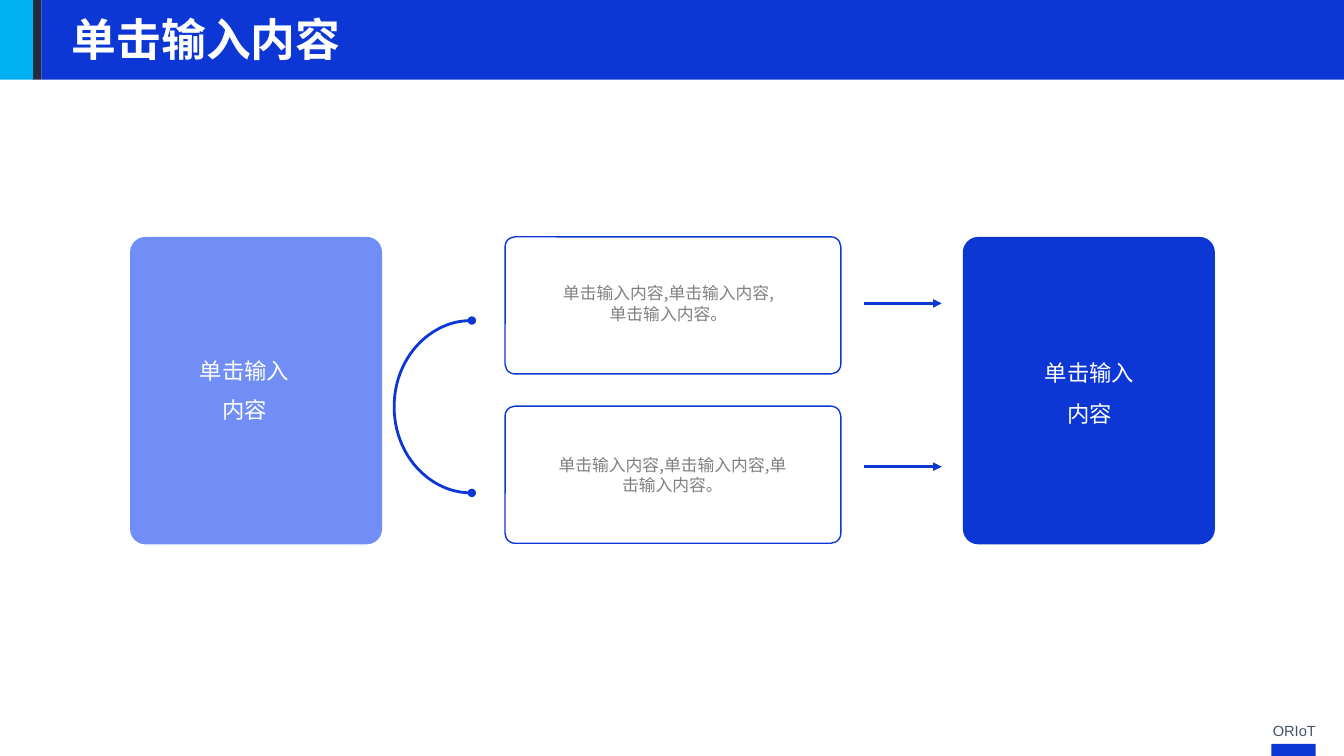
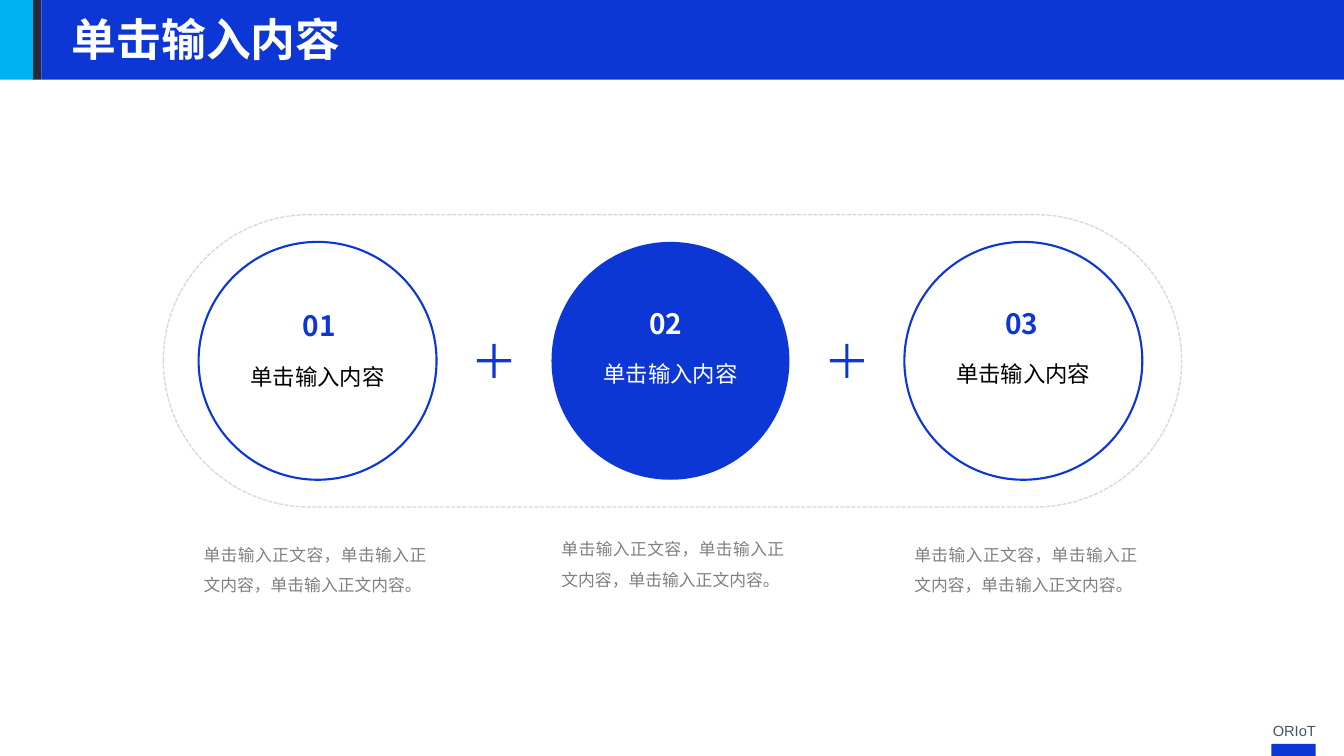
from lxml.etree import SubElement
from pptx import Presentation
from pptx.dml.color import RGBColor
from pptx.enum.dml import MSO_LINE
from pptx.enum.shapes import MSO_CONNECTOR, MSO_SHAPE
from pptx.enum.text import MSO_ANCHOR, MSO_AUTO_SIZE, PP_ALIGN
from pptx.oxml.ns import qn
from pptx.util import Inches, Pt

BLUE = RGBColor(0x0D, 0x37, 0xD4)
LIGHT_BLUE = RGBColor(0x70, 0x8E, 0xF5)
CYAN = RGBColor(0x00, 0xB0, 0xF0)
NAVY = RGBColor(0x26, 0x29, 0x3A)
SLATE = RGBColor(0x44, 0x54, 0x6A)
GREY = RGBColor(0x80, 0x80, 0x80)
PALE_GREY = RGBColor(0xD9, 0xD9, 0xD9)
WHITE = RGBColor(0xFF, 0xFF, 0xFF)
BLACK = RGBColor(0, 0, 0)

FONT = "Noto Sans CJK SC"
FOOTER_FONT = "Arial"
TITLE = "单击输入内容"
SLIDE_WIDTH, SLIDE_HEIGHT = 13.33, 7.5
BAND_HEIGHT = 0.79


def write_text(shape, text, size=12, color=GREY, font=FONT, bold=False,
               align=PP_ALIGN.LEFT, anchor=MSO_ANCHOR.TOP,
               insets=(0.1, 0.05, 0.1, 0.05), line_spacing=None,
               before=0, after=0):
    """Fill a shape with text, one paragraph per line; insets run left, top, right, bottom."""
    frame = shape.text_frame
    frame.word_wrap = True
    frame.auto_size = MSO_AUTO_SIZE.NONE
    frame.vertical_anchor = anchor
    (frame.margin_left, frame.margin_top,
     frame.margin_right, frame.margin_bottom) = map(Inches, insets)
    frame.text = text
    for para in frame.paragraphs:
        para.alignment = align
        para.line_spacing = line_spacing
        para.space_before, para.space_after = Pt(before), Pt(after)
        for span in para.runs:
            span.font.size, span.font.bold = Pt(size), bold
            span.font.name = font
            span.font.color.rgb = color
            SubElement(span.font._element, qn("a:ea")).set("typeface", font)


def add_line_ends(shape, **ends):
    """Put end marks on an outline, as head="oval" or tail="triangle"."""
    outline = shape.element.spPr.find(qn("a:ln"))
    for side, kind in ends.items():
        SubElement(outline, qn(f"a:{side}End")).set("type", kind)


class SlideBuilder:
    """Holds the deck, its shared style and the slide being drawn."""

    def __init__(self):
        self.deck = Presentation()
        self.deck.slide_width = Inches(SLIDE_WIDTH)
        self.deck.slide_height = Inches(SLIDE_HEIGHT)
        self.layout = self.deck.slide_layouts[5]
        for holder in list(self.layout.placeholders):
            if holder.placeholder_format.idx != 0:
                holder.element.getparent().remove(holder.element)
        self.page = None

    def start(self, title):
        first = self.page is None
        self.page = self.deck.slides.add_slide(self.layout)
        if first:
            self.dress_layout()
        holder = self.page.shapes.title
        holder.left, holder.top = Inches(0.61), Inches(0.07)
        holder.width, holder.height = Inches(7.09), Inches(0.64)
        write_text(holder, title, size=32, color=WHITE, bold=True)

    def dress_layout(self):
        """Draw the title band and footer, then move them to the shared layout."""
        parts = [
            self.shape(MSO_SHAPE.RECTANGLE, 0.32, 0, 0.09, BAND_HEIGHT, fill=NAVY),
            self.shape(MSO_SHAPE.RECTANGLE, 0, 0, 0.33, BAND_HEIGHT, fill=CYAN),
            self.shape(MSO_SHAPE.RECTANGLE, 0.41, 0, SLIDE_WIDTH - 0.41, BAND_HEIGHT,
                       fill=BLUE),
            self.text("ORIoT", 12.26, 7.11, 0.89, 0.28, size=10.5, color=SLATE,
                      font=FOOTER_FONT, align=PP_ALIGN.RIGHT),
            self.shape(MSO_SHAPE.RECTANGLE, 12.61, 7.38, 0.44, 0.12, fill=BLUE),
        ]
        for part in parts:
            self.layout.shapes.element.append(part.element)

    def shape(self, kind, left, top, width, height, fill=None, line=None,
              weight=1, dash=None, adjust=None):
        shape = self.page.shapes.add_shape(
            kind, Inches(left), Inches(top), Inches(width), Inches(height))
        shape.shadow.inherit = False
        if adjust is not None:
            shape.adjustments[0] = adjust
        if fill is None:
            shape.fill.background()
        else:
            shape.fill.solid()
            shape.fill.fore_color.rgb = fill
        if line is None:
            shape.line.fill.background()
        else:
            shape.line.color.rgb = line
            shape.line.width = Pt(weight)
            if dash is not None:
                shape.line.dash_style = dash
        return shape

    def text(self, text, left, top, width, height, **style):
        box = self.page.shapes.add_textbox(
            Inches(left), Inches(top), Inches(width), Inches(height))
        write_text(box, text, **style)
        return box

    def arrow(self, left, right, middle):
        arrow = self.page.shapes.add_connector(
            MSO_CONNECTOR.STRAIGHT, Inches(left), Inches(middle),
            Inches(right), Inches(middle))
        arrow.line.color.rgb = BLUE
        arrow.line.width = Pt(2)
        SubElement(arrow.element.spPr, qn("a:effectLst"))
        add_line_ends(arrow, tail="triangle")


def build_flow(slides):
    slides.start(TITLE)
    panel_top = 2.35
    for left, fill in ((1.29, LIGHT_BLUE), (9.55, BLUE)):
        slides.shape(MSO_SHAPE.ROUNDED_RECTANGLE, left, panel_top, 2.5, 3.05,
                     fill=fill, adjust=0.061)

    steps = ((panel_top, 3.01, (5.42, 2.76, 2.42)),
             (panel_top + 1.68, 4.63, (5.37, 4.46, 2.6)))
    for top, arrow_middle, (left, text_top, width) in steps:
        slides.shape(MSO_SHAPE.ROUNDED_RECTANGLE, 5.01, top, 3.33, 1.36,
                     fill=WHITE, line=BLUE, adjust=0.072)
        slides.arrow(8.57, 9.34, arrow_middle)
        slides.text("单击输入内容,单击输入内容,单击输入内容。", left, text_top,
                    width, 0.5, align=PP_ALIGN.CENTER)

    bracket = slides.shape(MSO_SHAPE.LEFT_BRACKET, 3.91, 3.18, 0.77, 1.71,
                           line=BLUE, weight=2, adjust=1.104)
    add_line_ends(bracket, head="oval", tail="oval")

    labels = ((1.87, 3.5, 0.74, {"after": 9}),
              (10.25, 3.47, 0.81, {"before": 6, "line_spacing": 1.2}))
    for left, top, height, spacing in labels:
        slides.text("单击输入\n内容", left, top, 1.35, height, size=16, color=WHITE,
                    align=PP_ALIGN.CENTER, anchor=MSO_ANCHOR.MIDDLE,
                    insets=(0, 0.04, 0.24, 0.04), **spacing)


def build_sum(slides):
    slides.start(TITLE)
    first_left, pitch, diameter = 1.97, 3.5, 2.36
    slides.shape(MSO_SHAPE.ROUNDED_RECTANGLE, 1.62, 2.13, 10.1, 2.9, line=PALE_GREY,
                 dash=MSO_LINE.SQUARE_DOT, adjust=0.5)

    # fill, outline, caption colour, number colour, caption inset, number and body places
    circles = (
        (WHITE, BLUE, BLACK, BLUE, 0.37, (2.97, 3.03), (1.92, 5.25)),
        (BLUE, None, WHITE, WHITE, 0.31, (6.41, 3.01), (5.47, 5.2)),
        (WHITE, BLUE, BLACK, BLUE, 0.31, (9.94, 3.01), (8.97, 5.25)),
    )
    for index, (fill, line, caption_color, number_color, inset,
                number_at, body_at) in enumerate(circles):
        circle = slides.shape(MSO_SHAPE.OVAL, first_left + index * pitch, 2.4,
                              diameter, diameter, fill=fill, line=line, weight=1.5)
        write_text(circle, "单击输入内容", size=16, color=caption_color,
                   align=PP_ALIGN.CENTER, anchor=MSO_ANCHOR.MIDDLE,
                   insets=(0.1, inset, 0.1, 0.05))
        slides.text(f"{index + 1:02}", *number_at, 0.49, 0.39, size=20, bold=True,
                    color=number_color, insets=(0.03, 0.03, 0.03, 0.03))
        slides.text("单击输入正文容，单击输入正文内容，单击输入正文内容。", *body_at,
                    2.41, 0.71, align=PP_ALIGN.JUSTIFY, line_spacing=1.5)

    for index in range(len(circles) - 1):
        slides.shape(MSO_SHAPE.MATH_PLUS, 4.67 + index * pitch, 3.35, 0.46, 0.46,
                     fill=BLUE, adjust=0.069)


def main():
    slides = SlideBuilder()
    build_flow(slides)
    build_sum(slides)
    slides.deck.save("out.pptx")


if __name__ == "__main__":
    main()
